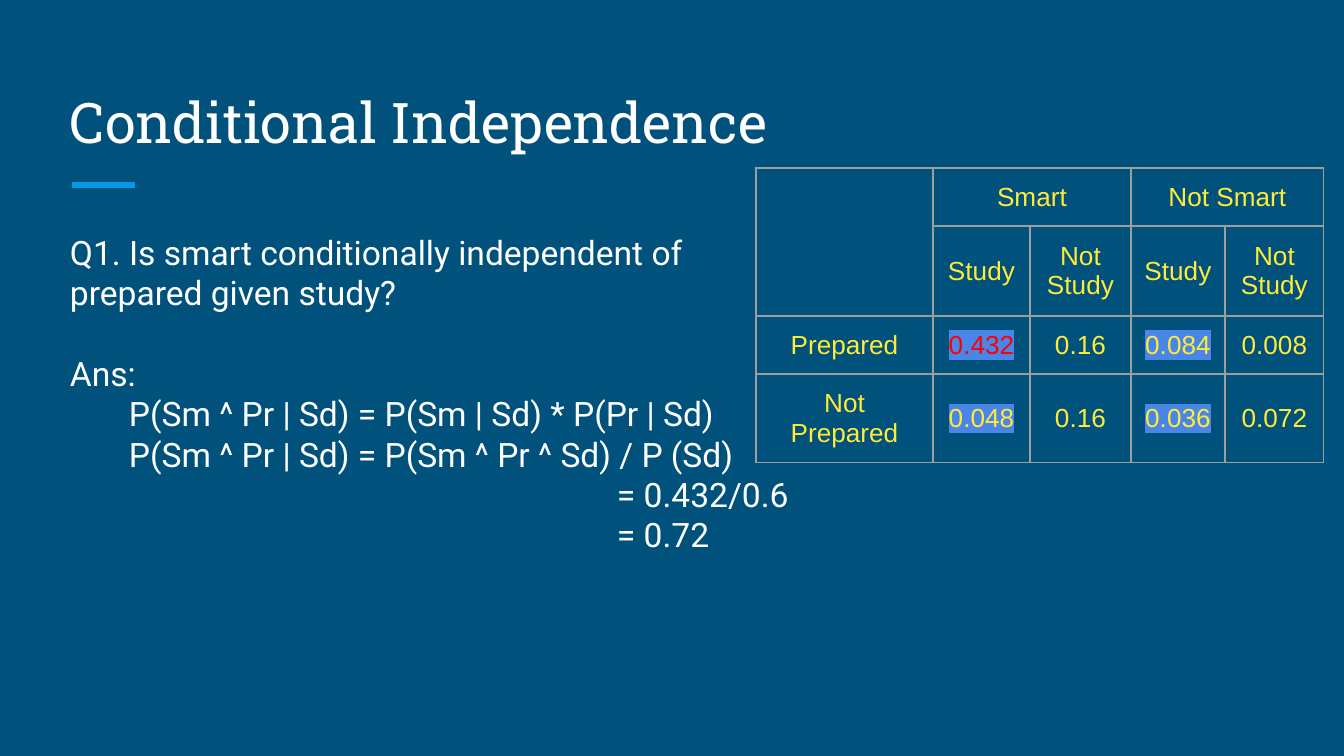
"""Build a slide that works through conditional independence with a joint probability table."""
from dataclasses import dataclass
from typing import Optional

from lxml import etree
from pptx import Presentation
from pptx import util as u
from pptx.dml.color import RGBColor
from pptx.enum import shapes, text
from pptx.oxml import ns

PX_PER_INCH = 134.4
NAVY = RGBColor(0x00, 0x51, 0x7C)
SKY = RGBColor(0x03, 0x9B, 0xE5)
WHITE = RGBColor(0xFF, 0xFF, 0xFF)
YELLOW = RGBColor(0xFF, 0xEB, 0x38)
RED = RGBColor(0xFF, 0x00, 0x00)
MARKER = RGBColor(0x4A, 0x86, 0xE8)
GRID = RGBColor(0x9E, 0x9E, 0x9E)

COLUMNS = (177, 97, 101, 94, 99)
ROWS = (58, 90, 58, 86)
INSET = 13


@dataclass(frozen=True)
class Line:
    wording: str
    indent: int = 0
    space_before: float = 0


@dataclass(frozen=True)
class Entry:
    row: int
    column: int
    wording: str
    row_span: int = 1
    column_span: int = 1
    color: RGBColor = YELLOW
    marker: Optional[RGBColor] = None


HEADING = (Line("Conditional Independence"),)
ANSWER = (
    Line("Q1. Is smart conditionally independent of"),
    Line("prepared given study?"),
    Line("Ans:", space_before=21.6),
    Line("P(Sm ^ Pr | Sd) = P(Sm | Sd) * P(Pr | Sd)", 59),
    Line("P(Sm ^ Pr | Sd) = P(Sm ^ Pr ^ Sd) / P (Sd)", 59),
    Line("= 0.432/0.6", 547),
    Line("= 0.72", 547),
)
ENTRIES = (
    Entry(0, 0, "", row_span=2),
    Entry(0, 1, "Smart", column_span=2),
    Entry(0, 3, "Not Smart", column_span=2),
    Entry(1, 1, "Study"),
    Entry(1, 2, "Not Study"),
    Entry(1, 3, "Study"),
    Entry(1, 4, "Not Study"),
    Entry(2, 0, "Prepared"),
    Entry(2, 1, "0.432", color=RED, marker=MARKER),
    Entry(2, 2, "0.16"),
    Entry(2, 3, "0.084", marker=MARKER),
    Entry(2, 4, "0.008"),
    Entry(3, 0, "Not Prepared"),
    Entry(3, 1, "0.048", marker=MARKER),
    Entry(3, 2, "0.16"),
    Entry(3, 3, "0.036", marker=MARKER),
    Entry(3, 4, "0.072"),
)


def px(length: int) -> u.Emu:
    return u.Emu(round(length * 914400 / PX_PER_INCH))


def assign(target, values: dict) -> None:
    for attribute, value in values.items():
        setattr(target, attribute, value)


def add_color(parent, tag: str, color: RGBColor):
    holder = etree.SubElement(parent, ns.qn(tag))
    etree.SubElement(holder, ns.qn("a:srgbClr"), val=str(color))
    return holder


def write(paragraph, wording: str, font: str, size: int, color: RGBColor):
    run = paragraph.add_run()
    run.text = wording
    assign(run.font, {"name": font, "size": u.Pt(size)})
    run.font.color.rgb = color
    return run


def add_lines(slide, box: tuple, lines: tuple, font: str, size: int, anchor) -> None:
    frame = slide.shapes.add_textbox(*map(px, box)).text_frame
    margins = dict.fromkeys(("margin_left", "margin_right", "margin_top", "margin_bottom"), px(INSET))
    assign(frame, {"word_wrap": True, "vertical_anchor": anchor, **margins})
    for index, line in enumerate(lines):
        paragraph = frame.add_paragraph() if index else frame.paragraphs[0]
        paragraph.space_before = u.Pt(line.space_before)
        if line.indent:
            paragraph._p.get_or_add_pPr().set("marL", str(px(line.indent)))
        write(paragraph, line.wording, font, size, WHITE)


def add_accent(slide, left: int, right: int, y: int) -> None:
    accent = slide.shapes.add_connector(
        shapes.MSO_CONNECTOR.STRAIGHT, px(left), px(y), px(right), px(y))
    accent.line.color.rgb = SKY
    accent.line.width = u.Pt(3)
    etree.SubElement(accent._element.spPr, ns.qn("a:effectLst"))


def style_cell(cell) -> None:
    margins = dict.fromkeys(("margin_left", "margin_right", "margin_top", "margin_bottom"), px(INSET))
    assign(cell, {"vertical_anchor": text.MSO_ANCHOR.MIDDLE, **margins})
    cell.fill.background()
    properties = cell._tc.get_or_add_tcPr()
    for position, side in enumerate(("a:lnL", "a:lnR", "a:lnT", "a:lnB")):
        border = etree.Element(ns.qn(side), w=str(u.Pt(0.75)))
        add_color(border, "a:solidFill", GRID)
        properties.insert(position, border)


def fill_entry(table, entry: Entry) -> None:
    cell = table.cell(entry.row, entry.column)
    if entry.row_span * entry.column_span > 1:
        cell.merge(table.cell(entry.row + entry.row_span - 1, entry.column + entry.column_span - 1))
    if not entry.wording:
        return
    paragraph = cell.text_frame.paragraphs[0]
    paragraph.alignment = text.PP_ALIGN.CENTER
    run = write(paragraph, entry.wording, "Arial", 14, entry.color)
    if entry.marker:
        properties = run._r.get_or_add_rPr()
        marker = add_color(properties, "a:highlight", entry.marker)
        properties.find(ns.qn("a:solidFill")).addnext(marker)


def add_probabilities(slide, left: int, top: int) -> None:
    table = slide.shapes.add_table(
        len(ROWS), len(COLUMNS), px(left), px(top), px(sum(COLUMNS)), px(sum(ROWS))).table
    assign(table, {"first_row": False, "horz_banding": False})
    for column, width in zip(table.columns, COLUMNS):
        column.width = px(width)
    for row, height in zip(table.rows, ROWS):
        row.height = px(height)
    for cell in table.iter_cells():
        style_cell(cell)
    for entry in ENTRIES:
        fill_entry(table, entry)


def main() -> None:
    deck = Presentation()
    assign(deck, {"slide_width": px(1344), "slide_height": px(756)})
    slide = deck.slides.add_slide(deck.slide_layouts[6])
    slide.background.fill.solid()
    slide.background.fill.fore_color.rgb = NAVY
    add_accent(slide, 72, 135, 185)
    add_lines(slide, (57, 67, 1230, 101), HEADING, "Roboto Slab", 30, text.MSO_ANCHOR.BOTTOM)
    add_lines(slide, (57, 219, 1230, 453), ANSWER, "Roboto", 18, text.MSO_ANCHOR.TOP)
    add_probabilities(slide, 756, 168)
    deck.save("out.pptx")


if __name__ == "__main__":
    main()
